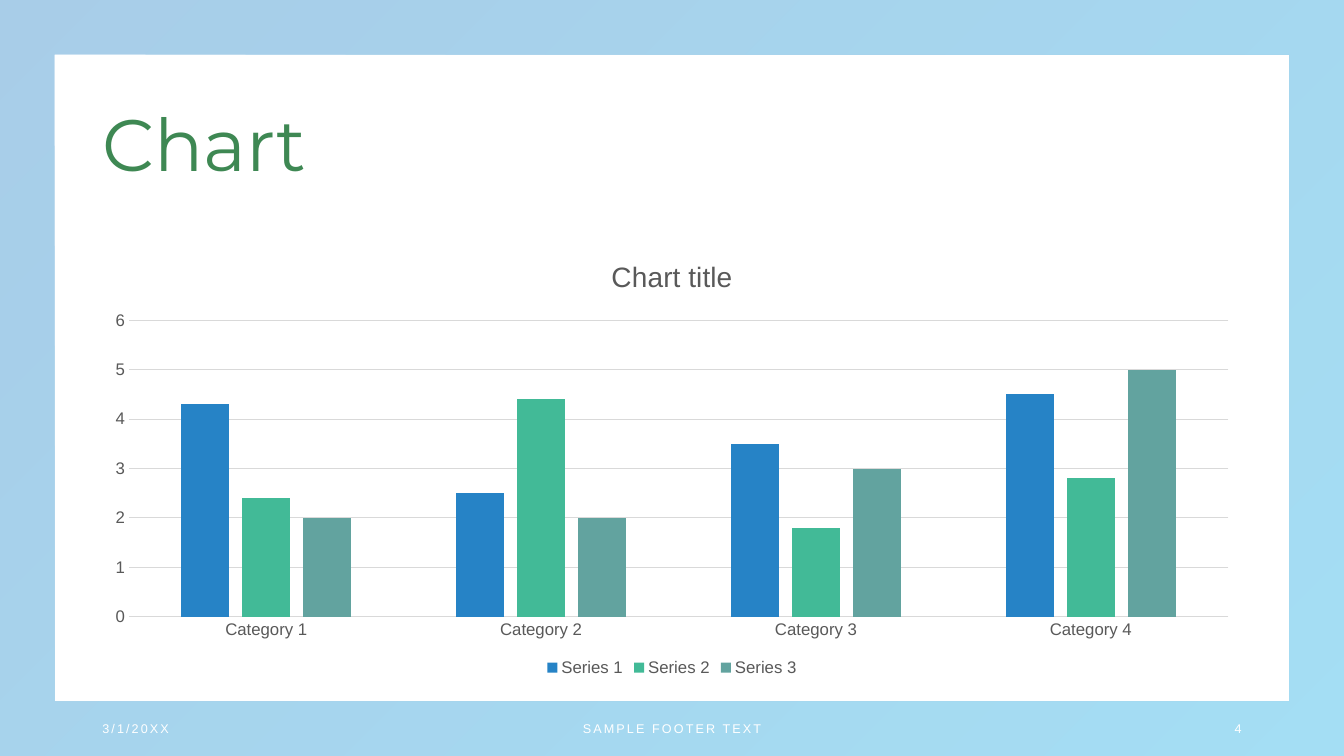
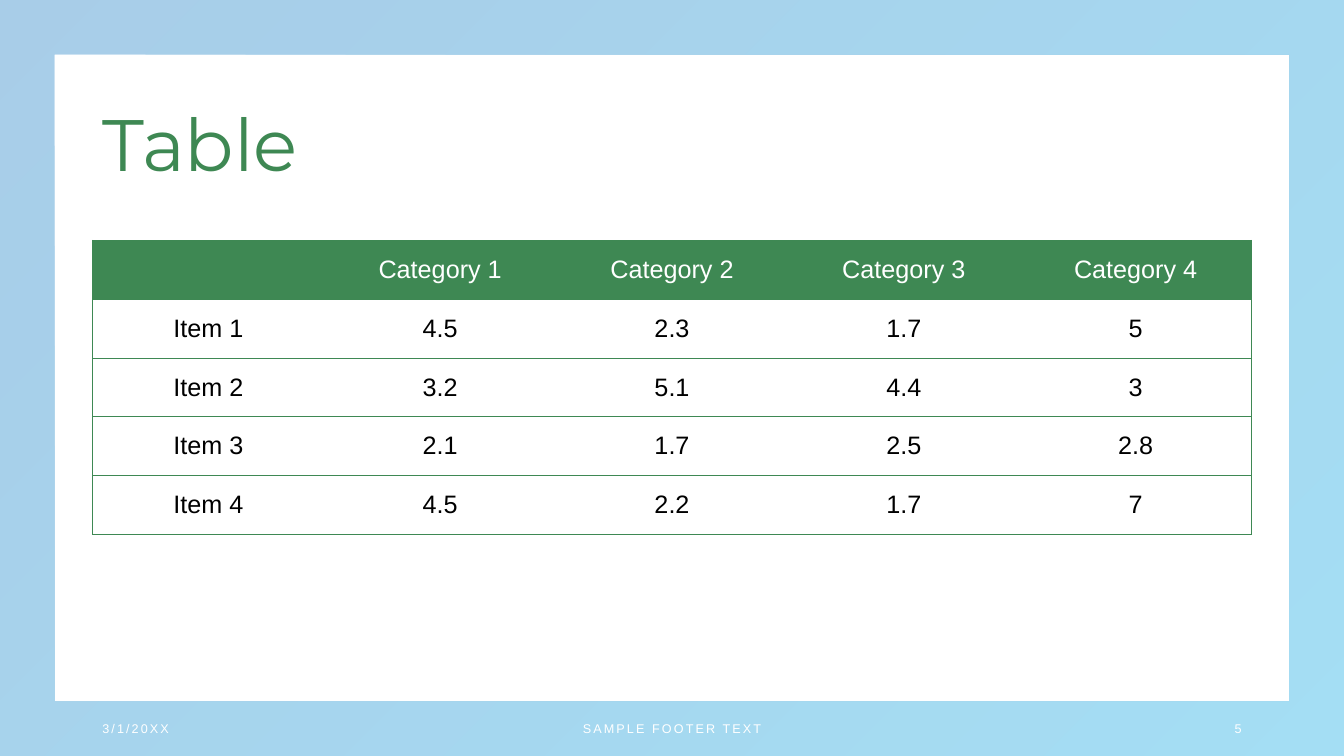
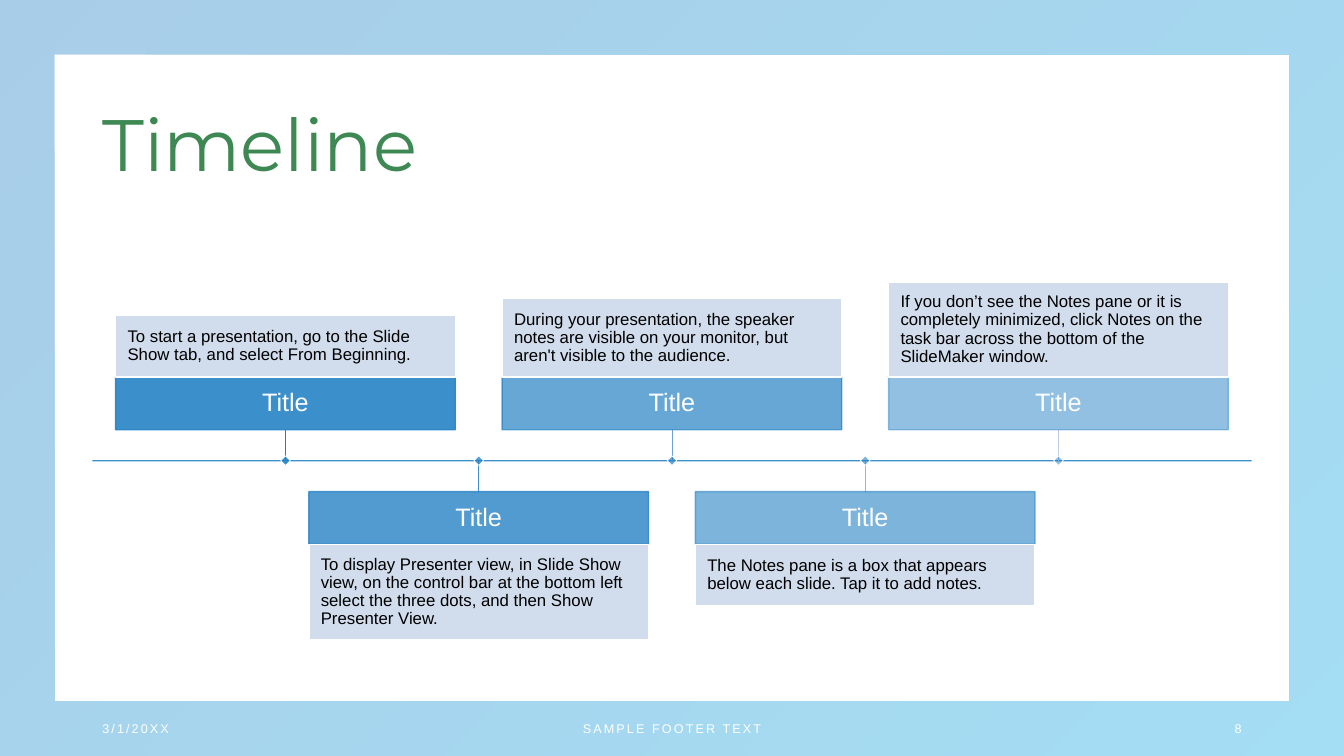
import pptx
import pptx.chart.data
import pptx.dml.color
import pptx.enum.chart
import pptx.enum.shapes
import pptx.enum.text
import pptx.oxml
import pptx.oxml.ns
import pptx.util

Cm = pptx.util.Cm
Pt = pptx.util.Pt
qn = pptx.oxml.ns.qn
Shape = pptx.enum.shapes.MSO_SHAPE
Align = pptx.enum.text.PP_ALIGN
Middle = pptx.enum.text.MSO_ANCHOR.MIDDLE
NS = 'xmlns:a="http://schemas.openxmlformats.org/drawingml/2006/main"'

WHITE, BLACK, GREY, RULE = "FFFFFF", "000000", "595959", "D9D9D9"
GREEN, BLUE, CYAN, PALE = "3E8853", "2683C6", "1CADE4", "CDD9EA"
TEAL, SAGE = "42BA97", "62A39F"
HEAD = {"name": "Montserrat", "size": Pt(52)}
LARGE = {"name": "Arial", "size": Pt(18)}
SMALL = {"name": "Arial", "size": Pt(12)}
FOOT = {"name": "Arial", "size": Pt(9)}

# Lengths in cm: content area, and the footer's side boxes
LEFT, WIDTH, TOP = 2.33, 29.21, 6.05
RIGHT, CENTER = LEFT + WIDTH, LEFT + WIDTH / 2
SIDE, MAIN = 7.62, 11.43


def hue(code):
    return pptx.dml.color.RGBColor.from_string(code)


def write(holder, text, look, color, align=Align.LEFT, pad=0.25, lead=0.9):
    """Put one formatted paragraph, centred in height, into a shape."""
    frame = holder.text_frame
    frame.word_wrap = True
    frame.auto_size = pptx.enum.text.MSO_AUTO_SIZE.NONE
    frame.vertical_anchor = Middle
    for side in ("left", "right", "top", "bottom"):
        setattr(frame, f"margin_{side}", Cm(pad))
    para = frame.paragraphs[0]
    para.alignment, para.line_spacing = align, lead
    run = para.add_run()
    run.text = text
    for key, value in look.items():
        setattr(run.font, key, value)
    run.font.color.rgb = hue(color)


deck = pptx.Presentation()
deck.slide_width, deck.slide_height = Cm(33.87), Cm(19.05)
layout = deck.slide_layouts[5]
faint = []  # pairs of a shape and its opacity in percent

# Titles and footers
pages = []
for title, number in (("Chart", "4"), ("Table", "5"), ("Timeline", "8")):
    page = deck.slides.add_slide(layout)
    pages.append(page)
    head = page.shapes.title
    head.left, head.top, head.width, head.height = Cm(LEFT), Cm(1.88), Cm(WIDTH), Cm(3.68)
    write(head, title, HEAD, GREEN)
    for text, left, width, align in (
        ("3/1/20XX", LEFT, SIDE, Align.LEFT),
        ("SAMPLE FOOTER TEXT", CENTER - MAIN / 2, MAIN, Align.CENTER),
        (number, RIGHT - SIDE, SIDE, Align.RIGHT),
    ):
        box = page.shapes.add_textbox(Cm(left), Cm(17.85), Cm(width), Cm(1.01))
        write(box, text, FOOT, WHITE, align, lead=1.0)
        for props in box.element.iter(qn("a:rPr")):
            props.set("spc", "150")
first, second, third = pages

# Border: built on a slide, then moved to the layout that all slides share
border = first.shapes.add_shape(Shape.FRAME, 0, 0, deck.slide_width, deck.slide_height)
border.adjustments[0] = 0.072
border.shadow.inherit = False
border.line.fill.background()
border.fill.gradient()
border.fill.gradient_angle = 315
for stop, color in zip(border.fill.gradient_stops, (BLUE, CYAN)):
    stop.color.rgb = hue(color)
faint.append((border, 40))
border.element.nvSpPr.cNvPr.set("id", "20")
layout.shapes.element.insert(2, border.element)

# Chart
data = pptx.chart.data.CategoryChartData()
data.categories = [f"Category {n}" for n in range(1, 5)]
for n, values in enumerate(((4.3, 2.5, 3.5, 4.5), (2.4, 4.4, 1.8, 2.8), (2, 2, 3, 5)), 1):
    data.add_series(f"Series {n}", values)
chart = first.shapes.add_chart(
    pptx.enum.chart.XL_CHART_TYPE.COLUMN_CLUSTERED,
    Cm(LEFT), Cm(TOP), Cm(WIDTH), Cm(11.1), data).chart
chart.has_title = chart.has_legend = True
chart.chart_title.text_frame.text = "Chart title"
chart.chart_title.include_in_layout = False
chart.legend.position = pptx.enum.chart.XL_LEGEND_POSITION.BOTTOM
chart.legend.include_in_layout = False
cats, vals = chart.category_axis, chart.value_axis
vals.minimum_scale, vals.maximum_scale, vals.major_unit = 0, 6, 1
for axis in (cats, vals):
    axis.major_tick_mark = axis.minor_tick_mark = pptx.enum.chart.XL_TICK_MARK.NONE
vals.format.line.fill.background()
for line in (cats.format.line, vals.major_gridlines.format.line):
    line.color.rgb, line.width = hue(RULE), Pt(0.75)
caption = chart.chart_title.text_frame.paragraphs[0].runs[0].font
for font, size in ((chart.font, 12), (caption, 20), (chart.legend.font, 12),
                   (cats.tick_labels.font, 12), (vals.tick_labels.font, 12)):
    font.name, font.size, font.bold = "Arial", Pt(size), False
    font.color.rgb = hue(GREY)
plot = chart.plots[0]
plot.gap_width, plot.overlap, plot.vary_by_categories = 219, -27, False
for series, color in zip(plot.series, (BLUE, TEAL, SAGE)):
    series.format.fill.solid()
    series.format.fill.fore_color.rgb = hue(color)

# Table
rows = (
    ("", "Category 1", "Category 2", "Category 3", "Category 4"),
    ("Item 1", "4.5", "2.3", "1.7", "5"),
    ("Item 2", "3.2", "5.1", "4.4", "3"),
    ("Item 3", "2.1", "1.7", "2.5", "2.8"),
    ("Item 4", "4.5", "2.2", "1.7", "7"),
)
cols = len(rows[0])
grid = second.shapes.add_table(len(rows), cols, Cm(LEFT), Cm(TOP), Cm(WIDTH), Cm(7.42))
table = grid.table
table.first_row = table.horz_banding = False
for style in grid.element.iter(qn("a:tableStyleId")):
    style.text = "{2D5ABB26-0587-4C30-8999-92F81FD0307C}"  # no style, no grid
for r, row in enumerate(rows):
    for c, text in enumerate(row):
        cell = table.cell(r, c)
        cell.vertical_anchor = Middle
        cell.fill.solid()
        cell.fill.fore_color.rgb = hue(WHITE if r else GREEN)
        para = cell.text_frame.paragraphs[0]
        para.text, para.alignment = text, Align.CENTER
        for key, value in LARGE.items():
            setattr(para.font, key, value)
        para.font.color.rgb = hue(BLACK if r else WHITE)

# Table borders: a line above and below each row, and round the outside
DRAWN, BARE = f'<a:solidFill><a:srgbClr val="{GREEN}"/></a:solidFill>', "<a:noFill/>"
for n, props in enumerate(list(grid.element.iter(qn("a:tcPr")))):
    col = n % cols
    sides = {"lnL": col == 0, "lnR": col == cols - 1, "lnT": True, "lnB": True}
    for place, (tag, shown) in enumerate(sides.items()):
        paint = DRAWN if shown else BARE
        props.insert(place, pptx.oxml.parse_xml(f'<a:{tag} {NS} w="6350">{paint}</a:{tag}>'))

# Timeline: text, its number of lines, stem colour
steps = (
    ("To start a presentation, go to the Slide Show tab, and select From Beginning.", 2, "247DBD"),
    ("To display Presenter view, in Slide Show view, on the control bar at the bottom left "
     "select the three dots, and then Show Presenter View.", 4, "408ED2"),
    ("During your presentation, the speaker notes are visible on your monitor, but "
     "aren't visible to the audience.", 3, "6DA1D5"),
    ("The Notes pane is a box that appears below each slide. Tap it to add notes.", 2, "97B6DB"),
    ("If you don’t see the Notes pane or it is completely minimized, click Notes on the "
     "task bar across the bottom of the SlideMaker window.", 4, "BECEE5"),
)
AXIS, STEM, PITCH = 11.61, 0.78, 4.87
WIDE, BAR, DOT = 8.56, 1.33, 0.17
mids = [CENTER + PITCH * (n - 2) for n in range(len(steps))]

# Axis and stems; even steps stand above the axis, odd ones hang below
lines = [(LEFT, AXIS, RIGHT, AXIS, BLUE, 1, 90)]
for n, (mid, (_, _, color)) in enumerate(zip(mids, steps)):
    end = AXIS + STEM if n % 2 else AXIS - STEM
    lines.append((mid, AXIS, mid, end, color, 0.5, 100))
for x1, y1, x2, y2, color, width, shade in lines:
    line = third.shapes.add_connector(
        pptx.enum.shapes.MSO_CONNECTOR.STRAIGHT, Cm(x1), Cm(y1), Cm(x2), Cm(y2))
    line.line.color.rgb, line.line.width = hue(color), Pt(width)
    line.element.spPr.append(pptx.oxml.parse_xml(f"<a:effectLst {NS}/>"))
    faint.append((line, shade))

# Title bar, text body and axis dot of each step
for n, (mid, (text, count, _)) in enumerate(zip(mids, steps)):
    shade, tall = 90 - 10 * n, 0.71 + 0.42 * count
    top = AXIS + STEM if n % 2 else AXIS - STEM - BAR
    note = top + BAR if n % 2 else top - tall
    parts = []
    for y, wide, high, fill, edge, width, alpha in (
        (top, WIDE, BAR, BLUE, BLUE, 1, shade),
        (note, WIDE, tall, PALE, WHITE, 1, 90),
        (AXIS - DOT / 2, DOT, DOT, BLUE, WHITE, 0.5, shade),
    ):
        part = third.shapes.add_shape(
            Shape.RECTANGLE, Cm(mid - wide / 2), Cm(y), Cm(wide), Cm(high))
        part.shadow.inherit = False
        part.fill.solid()
        part.fill.fore_color.rgb = hue(fill)
        part.line.color.rgb, part.line.width = hue(edge), Pt(width)
        parts.append(part)
        faint.append((part, alpha))
    bar, body, dot = parts
    dot.rotation = 45
    write(bar, "Title", LARGE, WHITE, Align.CENTER)
    write(body, text, SMALL, BLACK, pad=0.3)

# Opacity of every fill and line that is not white
for shape, shade in faint:
    for color in shape.element.spPr.iter(qn("a:srgbClr")):
        if color.get("val") != WHITE:
            color.append(pptx.oxml.parse_xml(f'<a:alpha {NS} val="{shade * 1000}"/>'))

deck.save("out.pptx")
